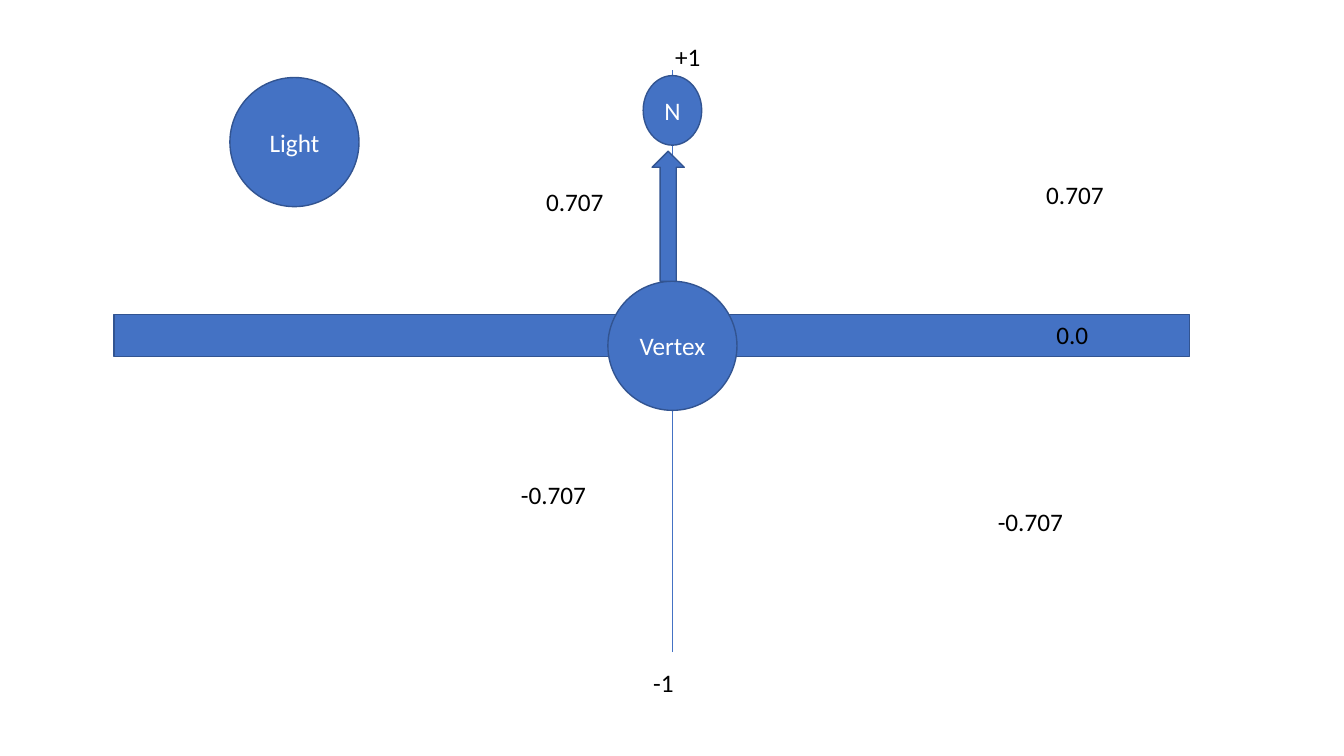
"""Build a slide showing the dot product of a vertex normal and light direction."""
from lxml import etree
from pptx import Presentation
from pptx.dml.color import RGBColor
from pptx.enum.shapes import MSO_CONNECTOR, MSO_SHAPE as SHAPE
from pptx.enum.text import MSO_ANCHOR, MSO_AUTO_SIZE, PP_ALIGN
from pptx.oxml.ns import qn
from pptx.util import Pt

BLUE = RGBColor(0x44, 0x72, 0xC4)
OUTLINE = RGBColor(0x32, 0x54, 0x91)
WHITE = RGBColor(0xFF, 0xFF, 0xFF)
BLACK = RGBColor(0, 0, 0)


def write(tf, text, color, align):
    tf.text = text
    p = tf.paragraphs[0]
    p.alignment = align
    for r in p.runs:
        r.font.name = "Calibri"
        r.font.size = Pt(18)
        r.font.color.rgb = color


prs = Presentation()
prs.slide_width, prs.slide_height = Pt(960), Pt(540)
s = prs.slides.add_slide(prs.slide_layouts[6])

axis = s.shapes.add_connector(MSO_CONNECTOR.STRAIGHT, Pt(480.2), Pt(465.8), Pt(480.2), Pt(49.7))
axis.line.color.rgb = BLUE
axis.line.width = Pt(0.5)
etree.SubElement(axis._element.spPr, qn("a:effectLst"))

shapes = [
    (SHAPE.RECTANGLE, 81.4, 224.6, 768.2, 30.2, ""),
    (SHAPE.OVAL, 434.2, 200.9, 92.2, 92.2, "Vertex"),
    (SHAPE.UP_ARROW, 465.8, 108, 23, 92.9, ""),
    (SHAPE.OVAL, 459.4, 54, 41.8, 49.7, "N"),
    (SHAPE.OVAL, 164.2, 55.4, 92.2, 92.2, "Light"),
]
for kind, left, top, width, height, text in shapes:
    sp = s.shapes.add_shape(kind, Pt(left), Pt(top), Pt(width), Pt(height))
    sp.shadow.inherit = False
    sp.fill.solid()
    sp.fill.fore_color.rgb = BLUE
    sp.line.color.rgb = OUTLINE
    sp.line.width = Pt(1)
    if text:
        sp.text_frame.vertical_anchor = MSO_ANCHOR.MIDDLE
        write(sp.text_frame, text, WHITE, PP_ALIGN.CENTER)

labels = [
    ("+1", 475.2, 25.9, 33.1),
    ("0.707", 740.2, 124.6, 56.2),
    ("0.0", 747.4, 224.6, 37.4),
    ("-0.707", 705.6, 357.8, 61.2),
    ("-1", 459.4, 473, 29.5),
    ("-0.707", 365, 339.1, 61.2),
    ("0.707", 383, 129.6, 56.2),
]
for text, left, top, width in labels:
    tf = s.shapes.add_textbox(Pt(left), Pt(top), Pt(width), Pt(29)).text_frame
    tf.word_wrap = False
    tf.auto_size = MSO_AUTO_SIZE.SHAPE_TO_FIT_TEXT
    write(tf, text, BLACK, PP_ALIGN.LEFT)

prs.save("out.pptx")
